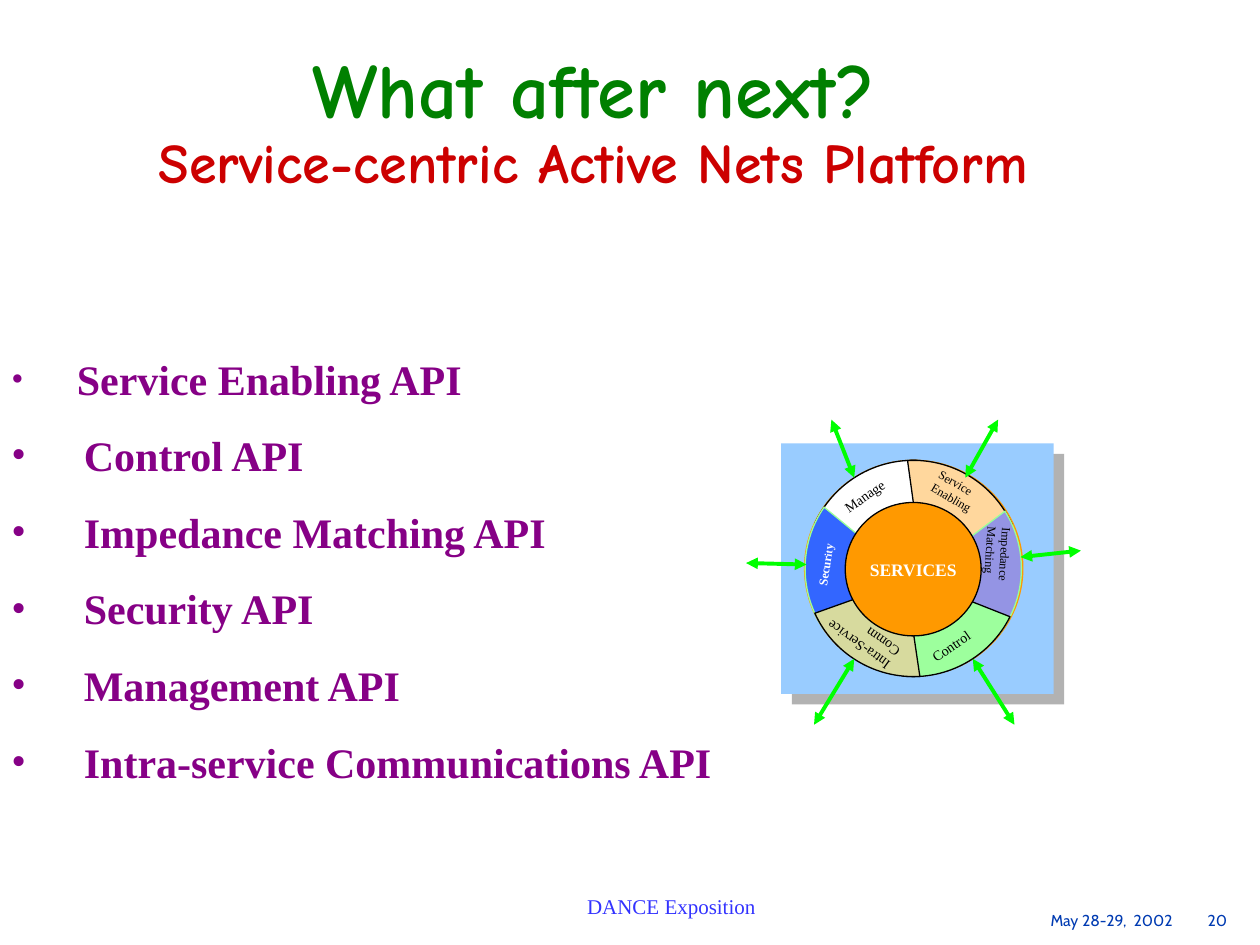
from math import cos, sin, tan, radians
from lxml import etree
from pptx import Presentation
from pptx.dml.color import RGBColor
from pptx.enum.shapes import MSO_CONNECTOR, MSO_SHAPE
from pptx.enum.text import MSO_ANCHOR, MSO_AUTO_SIZE, PP_ALIGN
from pptx.oxml import parse_xml
from pptx.oxml.ns import nsdecls, qn
from pptx.util import Cm, Pt

COLORS = {
    "title": "008000", "subtitle": "CC0000", "list": "860086",
    "date": "003BB2", "footer": "3333FF", "panel": "99CCFF",
    "shadow": "B2B2B2", "orange": "FF9900", "arrow": "00FF00",
    "edge": "99FF99", "black": "000000", "white": "FFFFFF",
    "service": "FFD79D", "impedance": "9494E4", "control": "9DFF9D",
    "security": "3366FF", "intra": "D7DA9E",
}
SERIF = "Times New Roman"


def inches(*values):
    return [Cm(round(value * 2.54, 2)) for value in values]


def add_span(para, text, size, color, font=SERIF, bold=False):
    span = para.add_run()
    span.text = text
    span.font.size = Pt(size)
    span.font.name = font
    span.font.bold = bold
    span.font.color.rgb = RGBColor.from_string(COLORS[color])


deck = Presentation()
deck.slide_width, deck.slide_height = inches(10, 7.5)
page = deck.slides.add_slide(deck.slide_layouts[1])

title, body = page.placeholders
title.left, title.top, title.width, title.height = inches(0.25, 0.41, 8.92, 1.14)
frame = title.text_frame
frame.margin_left = frame.margin_right = Cm(0.13)
frame.margin_top = frame.margin_bottom = 0
frame.auto_size = MSO_AUTO_SIZE.NONE
para = frame.paragraphs[0]
para.alignment = PP_ALIGN.CENTER
para.line_spacing = 0.9
add_span(para, "What after next?", 44, "title", "Comic Neue", True)
para.add_line_break()
add_span(para, "Service-centric Active Nets Platform", 32, "subtitle", "Comic Neue", True)

body.left, body.top, body.width, body.height = inches(0, 2.75, 5.83, 3.54)
frame = body.text_frame
frame.margin_left = Cm(0.23)
frame.auto_size = MSO_AUTO_SIZE.NONE
frame.vertical_anchor = MSO_ANCHOR.TOP
names = ["Service Enabling", "Control", "Impedance Matching", "Security",
         "Management", "Intra-service Communications"]
for index, name in enumerate(names):
    para = frame.paragraphs[0] if index == 0 else frame.add_paragraph()
    indent, bullet_size = (Cm(1.32), 83000) if index == 0 else (Cm(1.46), 100000)
    properties = para._p.get_or_add_pPr()
    properties.set("marL", str(indent))
    properties.set("indent", str(-indent))
    color = etree.SubElement(properties, qn("a:buClr"))
    etree.SubElement(color, qn("a:srgbClr"), val=COLORS["list"])
    etree.SubElement(properties, qn("a:buSzPct"), val=str(bullet_size))
    etree.SubElement(properties, qn("a:buFont"), typeface=SERIF)
    etree.SubElement(properties, qn("a:buChar"), char="•")
    para.space_before = Pt(0 if index == 0 else 15)
    add_span(para, f"{name} API", 24, "list", bold=True)

footers = [
    ((6.73, 7.23, 3.12, 0.17), PP_ALIGN.LEFT, "\tMay 28-29,  2002\t20", 9, "date", "Cabin"),
    ((3.08, 7.09, 4.5, 0.2), PP_ALIGN.CENTER, "DANCE Exposition", 12, "footer", SERIF),
]
for place, alignment, text, size, color, font in footers:
    box = page.shapes.add_textbox(*inches(*place))
    frame = box.text_frame
    frame.word_wrap = True
    frame.margin_left = frame.margin_right = Cm(0.23)
    frame.margin_top = frame.margin_bottom = 0
    para = frame.paragraphs[0]
    para.alignment = alignment
    if "\t" in text:
        tabs = etree.SubElement(para._p.get_or_add_pPr(), qn("a:tabLst"))
        for stop in inches(2.49, 2.92):
            etree.SubElement(tabs, qn("a:tab"), pos=str(stop), algn="r")
    add_span(para, text, size, color, font)

wheel = page.shapes.add_group_shape().shapes

panel = wheel.add_shape(MSO_SHAPE.RECTANGLE, *inches(6.2, 3.52, 2.16, 1.99))
panel.fill.solid()
panel.fill.fore_color.rgb = RGBColor.from_string(COLORS["panel"])
panel.line.fill.background()
panel._element.spPr.append(parse_xml(
    f'<a:effectLst {nsdecls("a")}><a:outerShdw dist="107950" dir="2700000" algn="ctr" '
    f'rotWithShape="0"><a:srgbClr val="{COLORS["shadow"]}"/></a:outerShdw></a:effectLst>'))

rim = wheel.add_shape(MSO_SHAPE.OVAL, *inches(6.4, 3.67, 1.7, 1.68))

center_x, center_y = inches(7.25, 4.51)
outer, inner = inches(0.86, 0.5)
half_outer, half_inner = 34.5, 31
sectors = [(239, "white", "black"), (301.5, "service", "black"),
           (2.5, "impedance", "edge"), (61, "control", "black"),
           (180, "security", "edge"), (121, "intra", "black")]
painted = [(rim, "white", "orange", 3)]
for middle, fill, line in sectors:
    corners, handles = [], []
    for radius, half in ((outer, half_outer), (inner, -half_inner)):
        reach = radius * 4 / 3 * tan(radians(half / 4))
        for turn in (-half, 0, half):
            angle = radians(middle + turn)
            x, y = center_x + radius * cos(angle), center_y + radius * sin(angle)
            corners.append((x, y))
            handles.append((-reach * sin(angle), reach * cos(angle)))
    builder = wheel.build_freeform(*corners[0])
    builder.add_line_segments(corners[1:], close=True)
    sector = builder.convert_to_shape()
    segments = list(sector._element.iter(qn("a:lnTo")))
    for end in (1, 2, 4, 5):
        segment = segments[end - 1]
        curve = etree.Element(qn("a:cubicBezTo"))
        for corner, sign in ((end - 1, 1), (end, -1)):
            x = corners[corner][0] + sign * handles[corner][0] - sector.left
            y = corners[corner][1] + sign * handles[corner][1] - sector.top
            etree.SubElement(curve, qn("a:pt"), x=str(round(x)), y=str(round(y)))
        curve.append(segment[0])
        segment.getparent().replace(segment, curve)
    painted.append((sector, fill, line, 0.75))

hub = wheel.add_shape(MSO_SHAPE.OVAL, *inches(6.71, 3.99, 1.08, 1.06))
painted.append((hub, "orange", "black", 0.75))
for shape, fill, line, width in painted:
    shape.shadow.inherit = False
    shape.fill.solid()
    shape.fill.fore_color.rgb = RGBColor.from_string(COLORS[fill])
    shape.line.color.rgb = RGBColor.from_string(COLORS[line])
    shape.line.width = Pt(width)

frame = hub.text_frame
frame.word_wrap = False
frame.vertical_anchor = MSO_ANCHOR.MIDDLE
frame.paragraphs[0].alignment = PP_ALIGN.CENTER
add_span(frame.paragraphs[0], "SERVICES", 10, "white", bold=True)

labels = [
    ((6.58, 3.8, 0.63, 0.24), 325, [[("Manage", 8)]], "black", 1),
    ((7.29, 3.8, 0.63, 0.28), 30.4, [[("Service", 7)], [("Enabling", 7)]], "black", 0.5),
    ((7.27, 4.98, 0.64, 0.24), 325, [[("Control", 8)]], "black", 1),
    ((7.47, 4.36, 0.88, 0.34), 93.5, [[("Impedance Matching", 7)]], "black", 1),
    ((6.18, 4.79, 1.09, 0.37), 216, [[("Intra-Service Comm", 8)]], "black", 1),
    ((6.25, 4.33, 0.62, 0.22), 278.8, [[("Secur", 7), ("it", 6), ("y", 7)]], "white", 1),
]
for place, rotation, lines, color, spacing in labels:
    box = wheel.add_textbox(*inches(*place))
    box.rotation = rotation
    frame = box.text_frame
    frame.word_wrap = True
    frame.auto_size = MSO_AUTO_SIZE.SHAPE_TO_FIT_TEXT
    for index, spans in enumerate(lines):
        para = frame.paragraphs[0] if index == 0 else frame.add_paragraph()
        para.line_spacing = spacing
        para.space_before = Pt(4.4 if index else 0)
        for text, size in spans:
            add_span(para, text, size, color, bold=color == "white")

arrows = [(8.1, 4.42, 8.58, 4.37), (7.66, 3.79, 7.92, 3.33), (7.72, 5.23, 8.05, 5.75),
          (6.78, 5.23, 6.46, 5.75), (6.4, 4.48, 5.92, 4.47), (6.78, 3.79, 6.6, 3.33)]
for ends in arrows:
    arrow = wheel.add_connector(MSO_CONNECTOR.STRAIGHT, *inches(*ends))
    arrow.line.color.rgb = RGBColor.from_string(COLORS["arrow"])
    arrow.line.width = Pt(2.25)
    outline = arrow.line._get_or_add_ln()
    for end in ("a:headEnd", "a:tailEnd"):
        etree.SubElement(outline, qn(end), type="triangle")
    etree.SubElement(arrow._element.spPr, qn("a:effectLst"))

deck.save("out.pptx")
